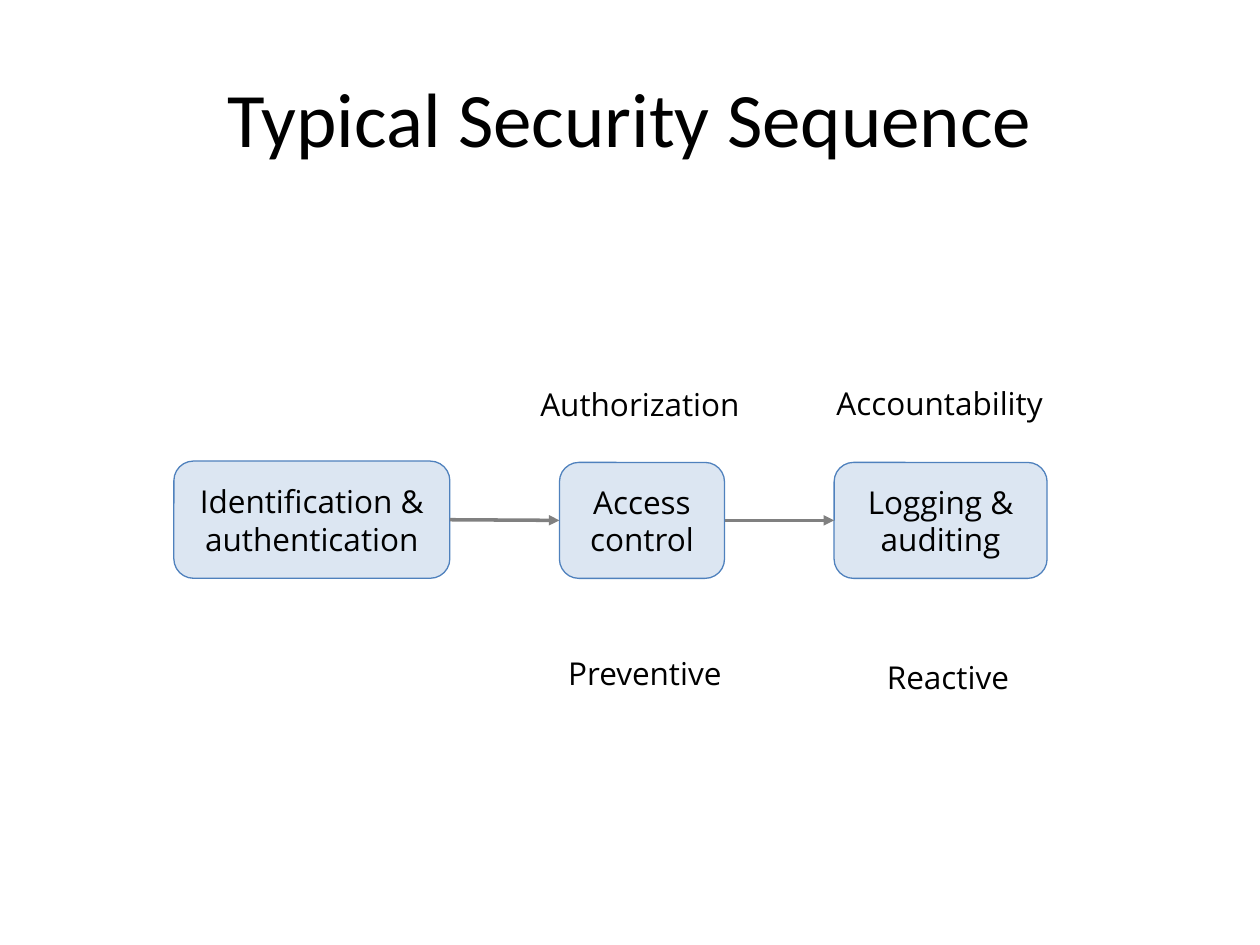
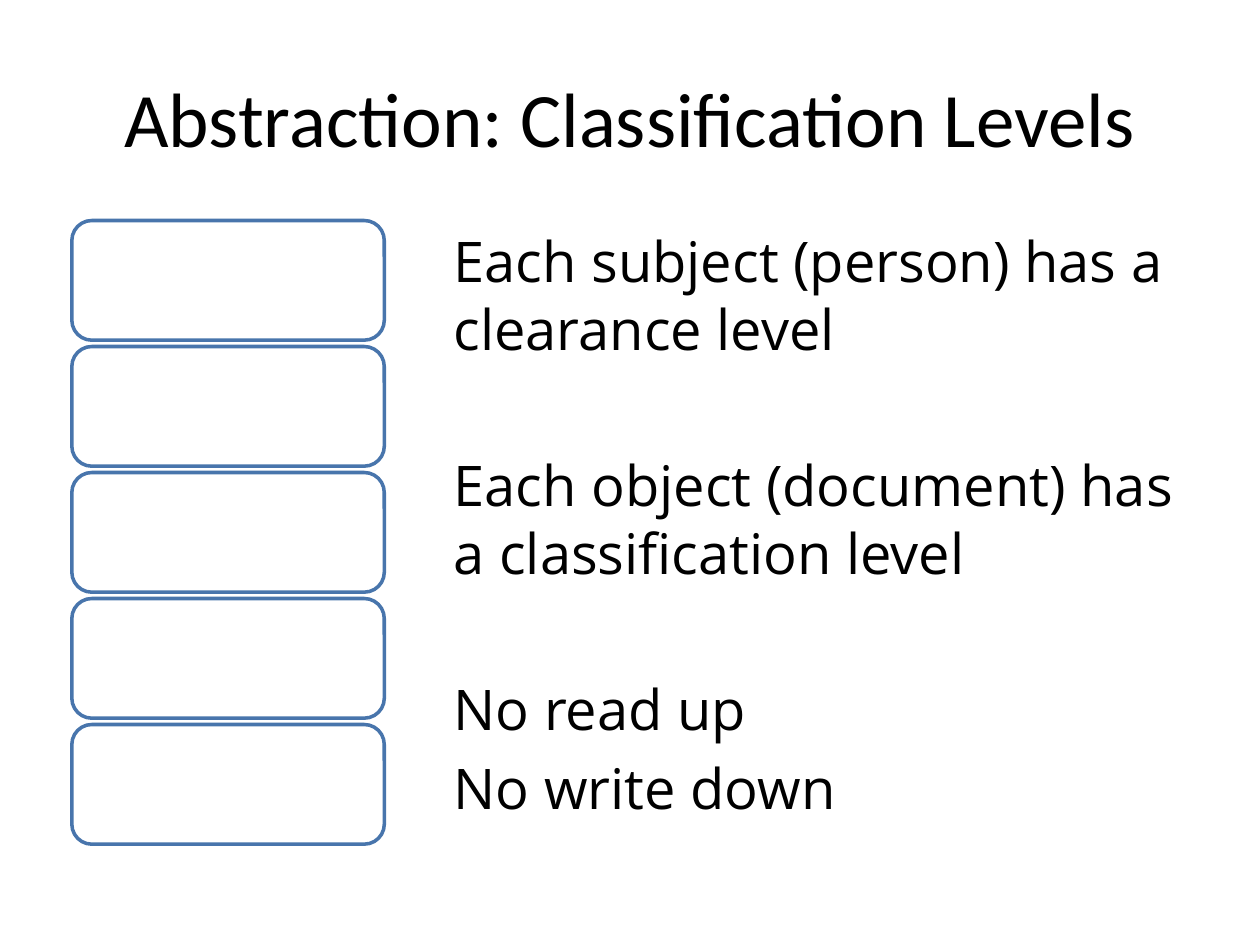
"""Build two slides on security sequences and classification levels."""
from lxml.etree import SubElement
from pptx import Presentation
from pptx.dml.color import RGBColor
from pptx.enum.shapes import MSO_CONNECTOR, MSO_SHAPE
from pptx.enum.text import MSO_ANCHOR, MSO_AUTO_SIZE, PP_ALIGN
from pptx.oxml.ns import qn
from pptx.util import Pt

PX = 9144
PAGE_SIZE = (1000, 750)
TITLE_AREA = (50, 30, 900, 125)
TITLE_FONT, BODY_FONT = "Calibri", "Open Sans"
BLACK, WHITE, GRAY = "000000", "FFFFFF", "808080"
PALE_BLUE, STEP_BLUE, LEVEL_BLUE = "DCE6F2", "4F81BD", "4875AC"
TITLE_ONLY, TITLE_AND_CONTENT = 5, 1

SEQUENCE_TITLE = "Typical Security Sequence"
STEPS = [
    ("Identification & authentication", (138, 366, 219, 93)),
    ("Access control", (444, 367, 131, 92)),
    ("Logging & auditing", (662, 367, 169, 92)),
]
LABELS = [
    ("Authorization", (419, 301, 188, 40)),
    ("Accountability", (654, 300, 197, 40)),
    ("Preventive", (441, 514, 145, 40)),
    ("Reactive", (694, 517, 121, 40)),
]

LEVELS_TITLE = "Abstraction: Classification Levels"
LEVEL_COUNT = 5
LEVEL_LEFT, LEVEL_TOP, LEVEL_WIDTH, LEVEL_HEIGHT, LEVEL_PITCH = 57, 175, 248, 95, 100
RULES_AREA = (350, 175, 625, 495)
RULES = [
    ("Each subject (person) has a clearance level", 0),
    ("Each object (document) has a classification level", 51.2),
    ("No read up", 51.2),
    ("No write down", 6.4),
]


def emu(area):
    return [value * PX for value in area]


def color(hex_text):
    return RGBColor.from_string(hex_text)


def place(box, area):
    box.left, box.top, box.width, box.height = emu(area)


def write(para, text, size=18, font=BODY_FONT, align=PP_ALIGN.LEFT, before=0):
    para.alignment = align
    para.space_before = Pt(before)
    span = para.add_run()
    span.text = text
    span.font.size = Pt(size)
    span.font.name = font
    span.font.color.rgb = color(BLACK)


def add_page(deck, layout, title):
    page = deck.slides.add_slide(deck.slide_layouts[layout])
    box = page.shapes.title
    place(box, TITLE_AREA)
    box.text_frame.vertical_anchor = MSO_ANCHOR.MIDDLE
    write(box.text_frame.paragraphs[0], title, size=44, font=TITLE_FONT,
          align=PP_ALIGN.CENTER)
    return page


def add_round_box(shapes, area, fill, line, width):
    box = shapes.add_shape(MSO_SHAPE.ROUNDED_RECTANGLE, *emu(area))
    box.shadow.inherit = False
    box.fill.solid()
    box.fill.fore_color.rgb = color(fill)
    box.line.color.rgb = color(line)
    box.line.width = Pt(width)
    return box


def add_arrow(page, start, end):
    arrow = page.shapes.add_connector(MSO_CONNECTOR.STRAIGHT, 0, 0, 0, 0)
    arrow.begin_connect(start, 3)
    arrow.end_connect(end, 1)
    arrow.line.color.rgb = color(GRAY)
    arrow.line.width = Pt(2)
    SubElement(arrow.line._get_or_add_ln(), qn("a:tailEnd"), type="triangle")
    SubElement(arrow._element.spPr, qn("a:effectLst"))


def add_label(page, text, area):
    frame = page.shapes.add_textbox(*emu(area)).text_frame
    frame.word_wrap = False
    frame.auto_size = MSO_AUTO_SIZE.SHAPE_TO_FIT_TEXT
    write(frame.paragraphs[0], text)


def add_rule(para, text, before):
    properties = para._p.get_or_add_pPr()
    properties.set("marL", "0")
    properties.set("indent", "0")
    SubElement(properties, qn("a:buNone"))
    write(para, text, size=32, before=before)


def build_sequence(deck):
    page = add_page(deck, TITLE_ONLY, SEQUENCE_TITLE)
    boxes = []
    for text, area in STEPS:
        box = add_round_box(page.shapes, area, PALE_BLUE, STEP_BLUE, 0.75)
        box.text_frame.word_wrap = True
        box.text_frame.vertical_anchor = MSO_ANCHOR.MIDDLE
        write(box.text_frame.paragraphs[0], text, align=PP_ALIGN.CENTER)
        boxes.append(box)
    for start, end in zip(boxes, boxes[1:]):
        add_arrow(page, start, end)
    for text, area in LABELS:
        add_label(page, text, area)


def build_levels(deck):
    page = add_page(deck, TITLE_AND_CONTENT, LEVELS_TITLE)
    stack = page.shapes.add_group_shape()
    for index in range(LEVEL_COUNT):
        top = LEVEL_TOP + index * LEVEL_PITCH
        add_round_box(stack.shapes, (LEVEL_LEFT, top, LEVEL_WIDTH, LEVEL_HEIGHT),
                      WHITE, LEVEL_BLUE, 2)
    body = page.placeholders[1]
    place(body, RULES_AREA)
    frame = body.text_frame
    frame.auto_size = MSO_AUTO_SIZE.NONE
    for index, (text, before) in enumerate(RULES):
        para = frame.add_paragraph() if index else frame.paragraphs[0]
        add_rule(para, text, before)


def main():
    deck = Presentation()
    deck.slide_width, deck.slide_height = emu(PAGE_SIZE)
    build_sequence(deck)
    build_levels(deck)
    deck.save("out.pptx")


if __name__ == "__main__":
    main()
